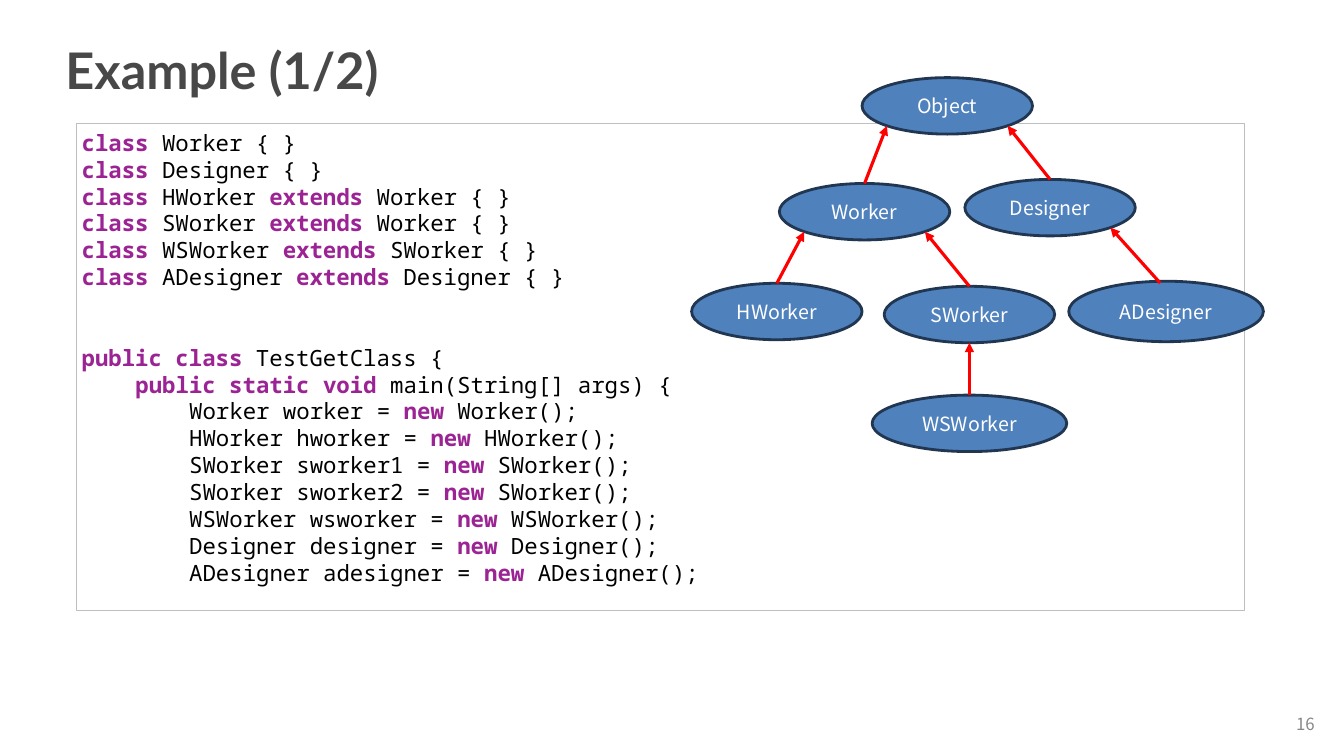
from itertools import groupby

from lxml import etree
from pptx import Presentation
from pptx.dml.color import RGBColor
from pptx.enum.shapes import MSO_CONNECTOR, MSO_SHAPE
from pptx.enum.text import MSO_ANCHOR, PP_ALIGN
from pptx.oxml.ns import qn
from pptx.util import Inches, Pt

STRAIGHT = MSO_CONNECTOR.STRAIGHT
RECTANGLE, OVAL = MSO_SHAPE.RECTANGLE, MSO_SHAPE.OVAL
TOP, MIDDLE = MSO_ANCHOR.TOP, MSO_ANCHOR.MIDDLE
LEFT, CENTER, RIGHT = PP_ALIGN.LEFT, PP_ALIGN.CENTER, PP_ALIGN.RIGHT

WIDTH, HEIGHT = Inches(13.33), Inches(7.5)
INSET = Inches(0.05)
CODE_INDENT = Pt(38.4)
CODE_PITCH = Pt(19.2)
TOP_SITE = 0
DIAGONAL = 0.146

TITLE_COLOR = RGBColor(0x48, 0x48, 0x48)
NUMBER_COLOR = RGBColor(0x88, 0x88, 0x88)
FRAME_COLOR = RGBColor(0xBF, 0xBF, 0xBF)
KEYWORD_COLOR = RGBColor(0x9B, 0x23, 0x93)
NODE_FILL = RGBColor(0x4F, 0x81, 0xBD)
NODE_LINE = RGBColor(0x21, 0x36, 0x50)
ARROW_COLOR = RGBColor(0xFF, 0x00, 0x00)
BLACK = RGBColor(0x00, 0x00, 0x00)
WHITE = RGBColor(0xFF, 0xFF, 0xFF)

TITLE_FONT, BODY_FONT, CODE_FONT = "Lato", "Noto Sans CJK KR", "Noto Sans Mono"

KEYWORDS = {"class", "extends", "public", "static", "void", "new"}
CLASS_LINES = [
    "class Worker { }",
    "class Designer { }",
    "class HWorker extends Worker { }",
    "class SWorker extends Worker { }",
    "class WSWorker extends SWorker { }",
    "class ADesigner extends Designer { }",
]
VARIABLES = [
    ("Worker", "worker"),
    ("HWorker", "hworker"),
    ("SWorker", "sworker1"),
    ("SWorker", "sworker2"),
    ("WSWorker", "wsworker"),
    ("Designer", "designer"),
    ("ADesigner", "adesigner"),
]

NODES = {
    "Object": (64.14, 10.27, 12.68, 7.47),
    "Worker": (57.99, 24.27, 12.68, 7.47),
    "Designer": (71.79, 23.73, 12.68, 7.47),
    "HWorker": (51.46, 37.47, 12.68, 7.47),
    "SWorker": (65.79, 37.87, 12.68, 7.47),
    "WSWorker": (64.89, 52.27, 14.48, 7.47),
    "ADesigner": (79.52, 37.2, 14.48, 8),
}
LOWER_LEFT = (DIAGONAL, 1 - DIAGONAL)
LOWER_RIGHT = (1 - DIAGONAL, 1 - DIAGONAL)
BOTTOM = (0.5, 1)
TOP_CENTER = (0.5, 0)
INHERITANCE = [
    ("Worker", TOP_CENTER, "Object", LOWER_LEFT),
    ("HWorker", TOP_CENTER, "Worker", LOWER_LEFT),
    ("Designer", TOP_CENTER, "Object", LOWER_RIGHT),
    ("ADesigner", (0.47, 0.03), "Designer", LOWER_RIGHT),
    ("SWorker", TOP_CENTER, "Worker", LOWER_RIGHT),
    ("WSWorker", TOP_CENTER, "SWorker", BOTTOM),
]


def place(left, top, width, height):
    return [int(length * share / 100) for length, share in
            ((WIDTH, left), (HEIGHT, top), (WIDTH, width), (HEIGHT, height))]


def set_font(font, name, size, color, bold=False):
    font.name, font.size, font.bold = name, Pt(size), bold
    font.color.rgb = color


def set_frame(box, anchor, inset=INSET, wrap=True):
    frame = box.text_frame
    frame.word_wrap = wrap
    frame.vertical_anchor = anchor
    frame.margin_left = frame.margin_right = inset
    frame.margin_top = frame.margin_bottom = inset
    return frame


def write(frame, text, align, name, size, color, bold=False):
    para = frame.paragraphs[0]
    para.text = text
    para.alignment = align
    set_font(para.font, name, size, color, bold)


def add_label(page, area, text, align, name, size, color, bold=False, wrap=True):
    box = page.shapes.add_textbox(*place(*area))
    write(set_frame(box, MIDDLE, wrap=wrap), text, align, name, size, color, bold)


def add_outlined(page, kind, area, line_color, line_width):
    box = page.shapes.add_shape(kind, *place(*area))
    box.shadow.inherit = False
    box.line.color.rgb = line_color
    box.line.width = Pt(line_width)
    return box


def add_code_line(para, text, depth=0):
    para.alignment = LEFT
    para.line_spacing = CODE_PITCH
    set_font(para.font, CODE_FONT, 16, BLACK)
    para._p.get_or_add_pPr().set("marL", str(depth * CODE_INDENT))
    groups = [(bold, " ".join(words)) for bold, words in
              groupby(text.split(" "), key=lambda word: word in KEYWORDS)]
    for index, (bold, words) in enumerate(groups):
        before = " " if index and not bold else ""
        after = " " if index < len(groups) - 1 and not bold else ""
        span = para.add_run()
        span.text = before + words + after
        set_font(span.font, CODE_FONT, 16, KEYWORD_COLOR if bold else BLACK, bold)


def add_code(page, area):
    box = add_outlined(page, RECTANGLE, area, FRAME_COLOR, 0.75)
    box.fill.background()
    frame = set_frame(box, TOP)
    lines = [(text, 0) for text in CLASS_LINES]
    lines += [("public class TestGetClass {", 0),
              ("public static void main(String[] args) {", 1)]
    lines += [(f"{kind} {name} = new {kind}();", 2) for kind, name in VARIABLES]
    for index, (text, depth) in enumerate(lines):
        para = frame.add_paragraph() if index else frame.paragraphs[0]
        add_code_line(para, text, depth)
    frame.paragraphs[len(CLASS_LINES)].space_before = 2 * CODE_PITCH


def add_node(page, name, area):
    node = add_outlined(page, OVAL, area, NODE_LINE, 2)
    node.fill.solid()
    node.fill.fore_color.rgb = NODE_FILL
    write(set_frame(node, MIDDLE, inset=0), name, CENTER, BODY_FONT, 14, WHITE)
    return node


def point_on(node, site):
    return (int(node.left + site[0] * node.width),
            int(node.top + site[1] * node.height))


def add_arrow(page, child, start, parent, end):
    arrow = page.shapes.add_connector(
        STRAIGHT, *point_on(child, start), *point_on(parent, end))
    if start == TOP_CENTER:
        arrow.begin_connect(child, TOP_SITE)
    arrow.line.color.rgb = ARROW_COLOR
    arrow.line.width = Pt(2.25)
    etree.SubElement(arrow.line._get_or_add_ln(), qn("a:tailEnd"), type="triangle")
    etree.SubElement(arrow._element.spPr, qn("a:effectLst"))


def main():
    deck = Presentation()
    deck.slide_width, deck.slide_height = WIDTH, HEIGHT
    page = deck.slides.add_slide(deck.slide_layouts[6])
    add_label(page, (4.5, 3.87, 90.62, 10.53), "Example (1/2)", LEFT,
              TITLE_FONT, 36, TITLE_COLOR, bold=True)
    add_label(page, (95.87, 93.87, 2.33, 3.73), "16", RIGHT,
              BODY_FONT, 12, NUMBER_COLOR, wrap=False)
    add_code(page, (5.7, 16.4, 86.87, 64.4))
    nodes = {name: add_node(page, name, area) for name, area in NODES.items()}
    for child, start, parent, end in INHERITANCE:
        add_arrow(page, nodes[child], start, nodes[parent], end)
    deck.save("out.pptx")


if __name__ == "__main__":
    main()
